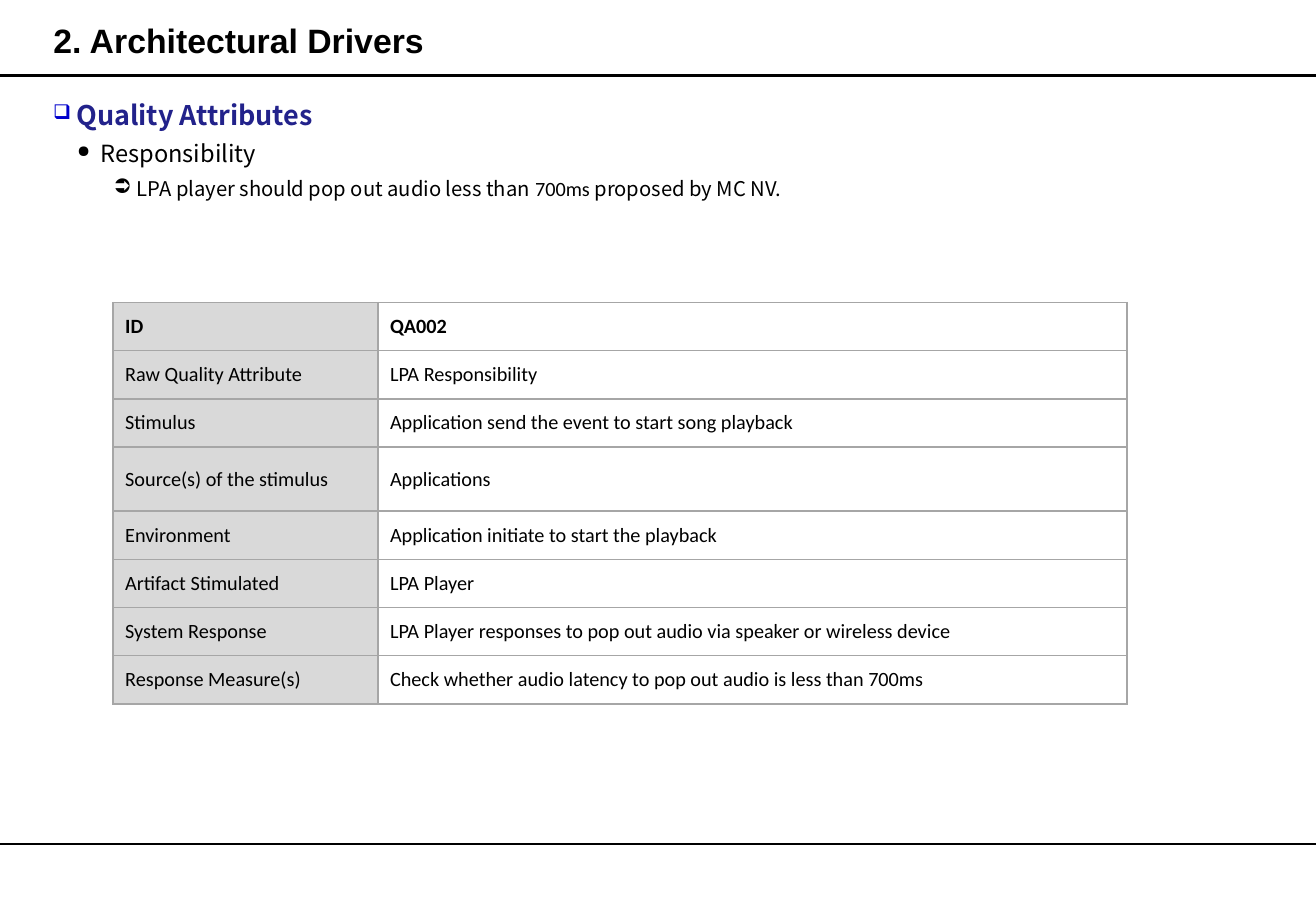
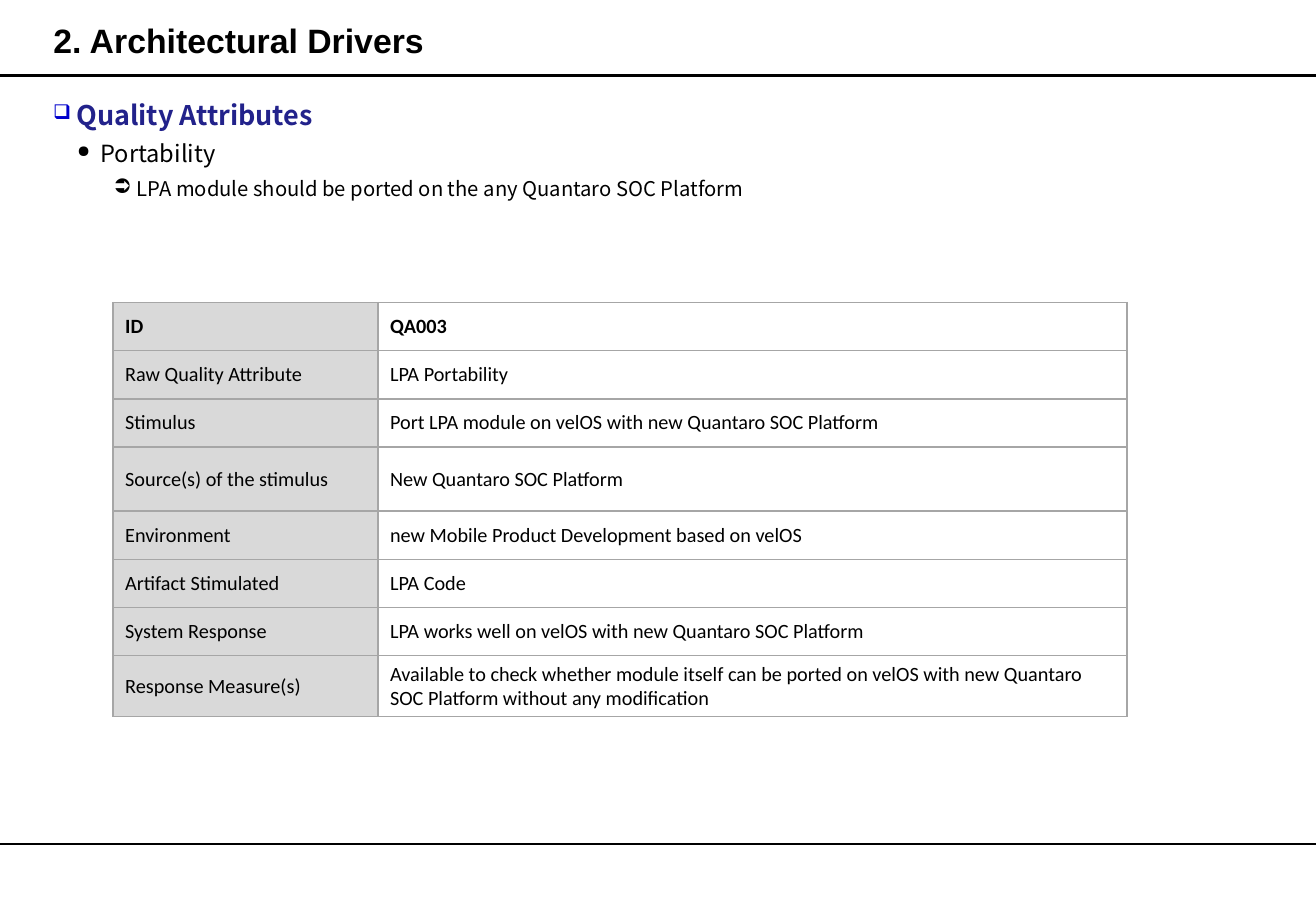
"""Build two quality attribute slides, each with a heading list and a scenario table."""
from lxml import etree
from pptx import Presentation
from pptx import util as u
from pptx.dml import color
from pptx.enum import shapes, text
from pptx.oxml import ns

COLORS = {
    "ink": "000000",
    "heading": "22228B",
    "marker": "0000CC",
    "label": "D9D9D9",
    "border": "A6A6A6",
}
TITLE_FONT, BODY_FONT, TABLE_FONT = "Arial", "Noto Sans CJK KR", "Calibri"
RULES = [(500.4, 1), (44.85, 1.5)]
LEVELS = [
    {"size": 16, "bold": True, "ink": "heading", "marker": "marker", "indent": 13.8,
     "bullet": "❑", "percent": 75, "spacing": 1.3, "before": 0},
    {"size": 14, "bold": False, "ink": "ink", "marker": "ink", "indent": 28,
     "bullet": "●", "percent": 70, "spacing": 1.1, "before": 3},
    {"size": 12, "bold": False, "ink": "ink", "marker": "ink", "indent": 49.5,
     "bullet": "➲", "percent": 100, "spacing": 1.25, "before": 2},
]
HANGING = 13.8
COLUMN_WIDTHS = [157, 444]
ROW_HEIGHTS = [28.6] * 3 + [38] + [28.6] * 4
LABELS = ["ID", "Raw Quality Attribute", "Stimulus", "Source(s) of the stimulus",
          "Environment", "Artifact Stimulated", "System Response", "Response Measure(s)"]
ATTRIBUTES = [
    {
        "name": "Responsibility",
        "goal": [("LPA player should pop out audio less than ", BODY_FONT),
                 ("700ms ", TABLE_FONT),
                 ("proposed by MC NV.", BODY_FONT)],
        "scenario": [
            "QA002",
            "LPA Responsibility",
            "Application send the event to start song playback",
            "Applications",
            "Application initiate to start the playback",
            "LPA Player",
            "LPA Player responses to pop out audio via speaker or wireless device",
            "Check whether audio latency to pop out audio is less than 700ms",
        ],
    },
    {
        "name": "Portability",
        "goal": [("LPA module should be ported on the any Quantaro SOC Platform", BODY_FONT)],
        "scenario": [
            "QA003",
            "LPA Portability",
            "Port LPA module on velOS with new Quantaro SOC Platform",
            "New Quantaro SOC Platform",
            "new Mobile Product Development based on velOS",
            "LPA Code",
            "LPA works well on velOS with new Quantaro SOC Platform",
            "Available to check whether module itself can be ported on velOS "
            "with new Quantaro SOC Platform without any modification",
        ],
    },
]


def style_font(font, name, size, bold, ink):
    font.name, font.size, font.bold = name, u.Pt(size), bold
    font.color.rgb = color.RGBColor.from_string(COLORS[ink])


def add_xml(parent, tag, **attributes):
    return etree.SubElement(parent, ns.qn(tag), attributes)


deck = Presentation()
deck.slide_width, deck.slide_height = u.Pt(780), u.Pt(540)

for attribute in ATTRIBUTES:
    slide = deck.slides.add_slide(deck.slide_layouts[5])

    for y, weight in RULES:
        rule = slide.shapes.add_connector(
            shapes.MSO_CONNECTOR.STRAIGHT, 0, u.Pt(y), deck.slide_width, u.Pt(y))
        rule.line.width = u.Pt(weight)
        rule.line.color.rgb = color.RGBColor.from_string(COLORS["ink"])
        add_xml(rule._element.spPr, "a:effectLst")

    title = slide.shapes.title
    title.left, title.top, title.width, title.height = (
        u.Pt(24.5), u.Pt(6), u.Pt(303), u.Pt(36))
    title.text_frame.text = "2. Architectural Drivers"
    title.text_frame.auto_size = text.MSO_AUTO_SIZE.NONE
    title.text_frame.vertical_anchor = text.MSO_ANCHOR.MIDDLE
    heading = title.text_frame.paragraphs[0]
    heading.alignment = text.PP_ALIGN.LEFT
    style_font(heading.runs[0].font, TITLE_FONT, 20, True, "ink")

    outline = slide.shapes.add_textbox(u.Pt(24.5), u.Pt(49), u.Pt(736.5), u.Pt(106)).text_frame
    outline.word_wrap = True
    entries = [[("Quality Attributes", BODY_FONT)], [(attribute["name"], BODY_FONT)],
               attribute["goal"]]
    for depth, (level, pieces) in enumerate(zip(LEVELS, entries)):
        entry = outline.add_paragraph() if depth else outline.paragraphs[0]
        entry.level = depth
        properties = entry._p.get_or_add_pPr()
        properties.set("marL", str(u.Pt(level["indent"])))
        properties.set("indent", str(-u.Pt(HANGING)))
        add_xml(add_xml(properties, "a:buClr"), "a:srgbClr", val=COLORS[level["marker"]])
        add_xml(properties, "a:buSzPct", val=str(level["percent"] * 1000))
        add_xml(properties, "a:buChar", char=level["bullet"])
        entry.line_spacing = level["spacing"]
        entry.space_before = u.Pt(level["before"])
        for wording, font_name in pieces:
            run = entry.add_run()
            run.text = wording
            style_font(run.font, font_name, level["size"], level["bold"], level["ink"])

    scenario = slide.shapes.add_table(
        len(LABELS), len(COLUMN_WIDTHS), u.Pt(67), u.Pt(179.3),
        u.Pt(sum(COLUMN_WIDTHS)), u.Pt(sum(ROW_HEIGHTS))).table
    scenario.first_row = scenario.horz_banding = False
    for column, width in zip(scenario.columns, COLUMN_WIDTHS):
        column.width = u.Pt(width)
    for row, height in zip(scenario.rows, ROW_HEIGHTS):
        row.height = u.Pt(height)

    for r, pair in enumerate(zip(LABELS, attribute["scenario"])):
        for c, wording in enumerate(pair):
            cell = scenario.cell(r, c)
            cell.text_frame.text = wording
            cell.vertical_anchor = text.MSO_ANCHOR.MIDDLE
            style_font(cell.text_frame.paragraphs[0].runs[0].font, TABLE_FONT, 12, r == 0, "ink")
            for side in ("a:lnL", "a:lnR", "a:lnT", "a:lnB"):
                border = add_xml(cell._tc.get_or_add_tcPr(), side, w=str(u.Pt(1)))
                add_xml(add_xml(border, "a:solidFill"), "a:srgbClr", val=COLORS["border"])
            if c == 0:
                cell.fill.solid()
                cell.fill.fore_color.rgb = color.RGBColor.from_string(COLORS["label"])
            else:
                cell.fill.background()

deck.save("out.pptx")
